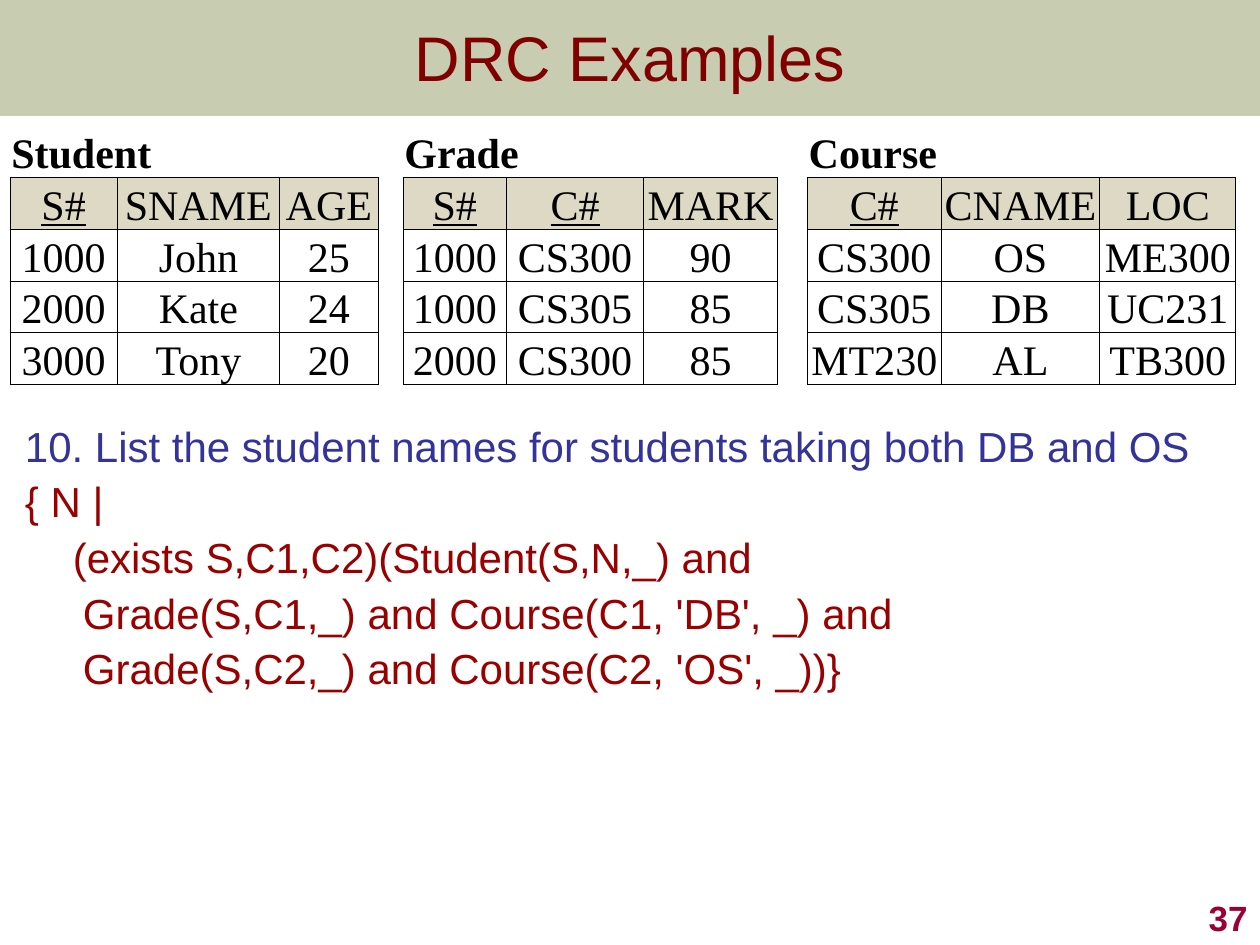
from lxml import etree
from pptx import Presentation, util as u
from pptx.dml.color import RGBColor
from pptx.enum import shapes, text
from pptx.oxml.ns import qn

INK, PAPER, HEADER = "000000", "FFFFFF", "DDD9C4"

# Each relation: name, key columns, column widths, rows with the header first
RELATIONS = [
    ("Student", {"S#"}, [0.85, 1.29, 0.78],
     [["S#", "SNAME", "AGE"], ["1000", "John", "25"],
      ["2000", "Kate", "24"], ["3000", "Tony", "20"]]),
    ("Grade", {"S#", "C#"}, [0.82, 1.09, 1.06],
     [["S#", "C#", "MARK"], ["1000", "CS300", "90"],
      ["1000", "CS305", "85"], ["2000", "CS300", "85"]]),
    ("Course", {"C#"}, [1.06, 1.26, 1.08],
     [["C#", "CNAME", "LOC"], ["CS300", "OS", "ME300"],
      ["CS305", "DB", "UC231"], ["MT230", "AL", "TB300"]]),
]
GAPS = [0.2, 0.24]

# Query lines: text, colour, left indent
QUERY = [
    ("10. List the student names for students taking both DB and OS", "333399", 0),
    ("{ N |", "990000", 0),
    ("(exists S,C1,C2)(Student(S,N,_) and", "990000", 0.38),
    ("Grade(S,C1,_) and Course(C1, 'DB', _) and", "990000", 0.46),
    ("Grade(S,C2,_) and Course(C2, 'OS', _))}", "990000", 0.46),
]


def rgb(value):
    return RGBColor.from_string(value)


def set_font(p, name, size, color, bold=False):
    font = p.font
    font.name, font.size, font.bold = name, u.Pt(size), bold
    font.color.rgb = rgb(color)


def add_text_frame(s, box, anchor):
    tf = s.shapes.add_textbox(*map(u.Inches, box)).text_frame
    tf.word_wrap = True
    tf.vertical_anchor = anchor
    return tf


def add_line(s, box, value, size, color, align, anchor, bold=False):
    p = add_text_frame(s, box, anchor).paragraphs[0]
    p.text, p.alignment = value, align
    set_font(p, "Arial", size, color, bold)


def add_title(s, left, top, width, height):
    band = s.shapes.add_shape(shapes.MSO_SHAPE.RECTANGLE,
                              *map(u.Inches, (left, top, width, height)))
    band.shadow.inherit = False
    band.line.fill.background()
    band.fill.solid()
    band.fill.fore_color.rgb = rgb("677228")
    fill_color = band.fill._xPr.find(".//" + qn("a:srgbClr"))
    etree.SubElement(fill_color, qn("a:alpha"), val="36000")
    add_line(s, (left, top, width, height - 0.03), "DRC Examples", 36, "800000",
             text.PP_ALIGN.CENTER, text.MSO_ANCHOR.MIDDLE)


def set_borders(cell, sides):
    """Draw the given sides (of "LRTB") as thin lines and clear the others."""
    tc_pr = cell._tc.get_or_add_tcPr()
    for i, side in enumerate("LRTB"):
        line = etree.Element(qn(f"a:ln{side}"), w=str(u.Pt(0.5)))
        if side in sides:
            fill = etree.SubElement(line, qn("a:solidFill"))
            etree.SubElement(fill, qn("a:srgbClr"), val=INK)
        else:
            etree.SubElement(line, qn("a:noFill"))
        tc_pr.insert(i, line)


def fill_cell(cell, value, fill=PAPER, borders="LRTB", align=text.PP_ALIGN.CENTER,
              bold=False, underline=False):
    cell.fill.solid()
    cell.fill.fore_color.rgb = rgb(fill)
    cell.margin_left = cell.margin_right = cell.margin_top = u.Inches(0.01)
    cell.margin_bottom = 0
    cell.vertical_anchor = text.MSO_ANCHOR.BOTTOM
    p = cell.text_frame.paragraphs[0]
    p.text, p.alignment = value, align
    set_font(p, "Times New Roman", 24, INK, bold)
    p.font.underline = underline
    set_borders(cell, borders)


def add_relations(s, left, top, width, height):
    widths = list(RELATIONS[0][2])
    for gap, relation in zip(GAPS, RELATIONS[1:]):
        widths += [gap] + relation[2]
    n_rows = 1 + len(RELATIONS[0][3])
    frame = s.shapes.add_table(n_rows, len(widths),
                               *map(u.Inches, (left, top, width, height)))
    table = frame.table
    table.first_row = table.horz_banding = False
    for column, w in zip(table.columns, widths):
        column.width = u.Inches(w)
    for row in table.rows:
        row.height = u.Inches(height / n_rows)

    start = 0
    for name, keys, cols, rows in RELATIONS:
        # Relation name above its header
        last = start + len(cols) - 1
        for c in range(start, last + 1):
            fill_cell(table.cell(0, c), name if c == start else "", borders="B",
                      align=text.PP_ALIGN.LEFT, bold=True)
        table.cell(0, start).merge(table.cell(0, last))
        # Header and data rows
        for r, values in enumerate(rows, 1):
            for c, value in enumerate(values, start):
                fill_cell(table.cell(r, c), value, HEADER if r == 1 else PAPER,
                          underline=r == 1 and value in keys)
        # Spacer column to the next relation
        if last + 1 < len(widths):
            for r in range(n_rows):
                fill_cell(table.cell(r, last + 1), "", borders="LR" if r else "")
        start = last + 2


def add_query(s, *box):
    tf = add_text_frame(s, box, text.MSO_ANCHOR.TOP)
    tf.margin_right = 0
    for i, (value, color, indent) in enumerate(QUERY):
        p = tf.add_paragraph() if i else tf.paragraphs[0]
        p.text, p.line_spacing = value, 0.9
        p.space_before = u.Pt(5.9 if i else 0)
        p._p.get_or_add_pPr().set("marL", str(u.Inches(indent)))
        set_font(p, "Arial", 24, color)


def main():
    prs = Presentation()
    prs.slide_width, prs.slide_height = u.Inches(10), u.Inches(7.5)
    s = prs.slides.add_slide(prs.slide_layouts[6])
    add_title(s, 0, 0, 10, 0.92)
    add_query(s, 0.1, 3.33, 9.4, 3.58)
    # Page number
    add_line(s, (7.92, 7, 2.08, 0.5), "37", 20, "990033",
             text.PP_ALIGN.RIGHT, text.MSO_ANCHOR.BOTTOM, bold=True)
    add_relations(s, 0.08, 1, 9.74, 1.9)
    prs.save("out.pptx")


if __name__ == "__main__":
    main()
